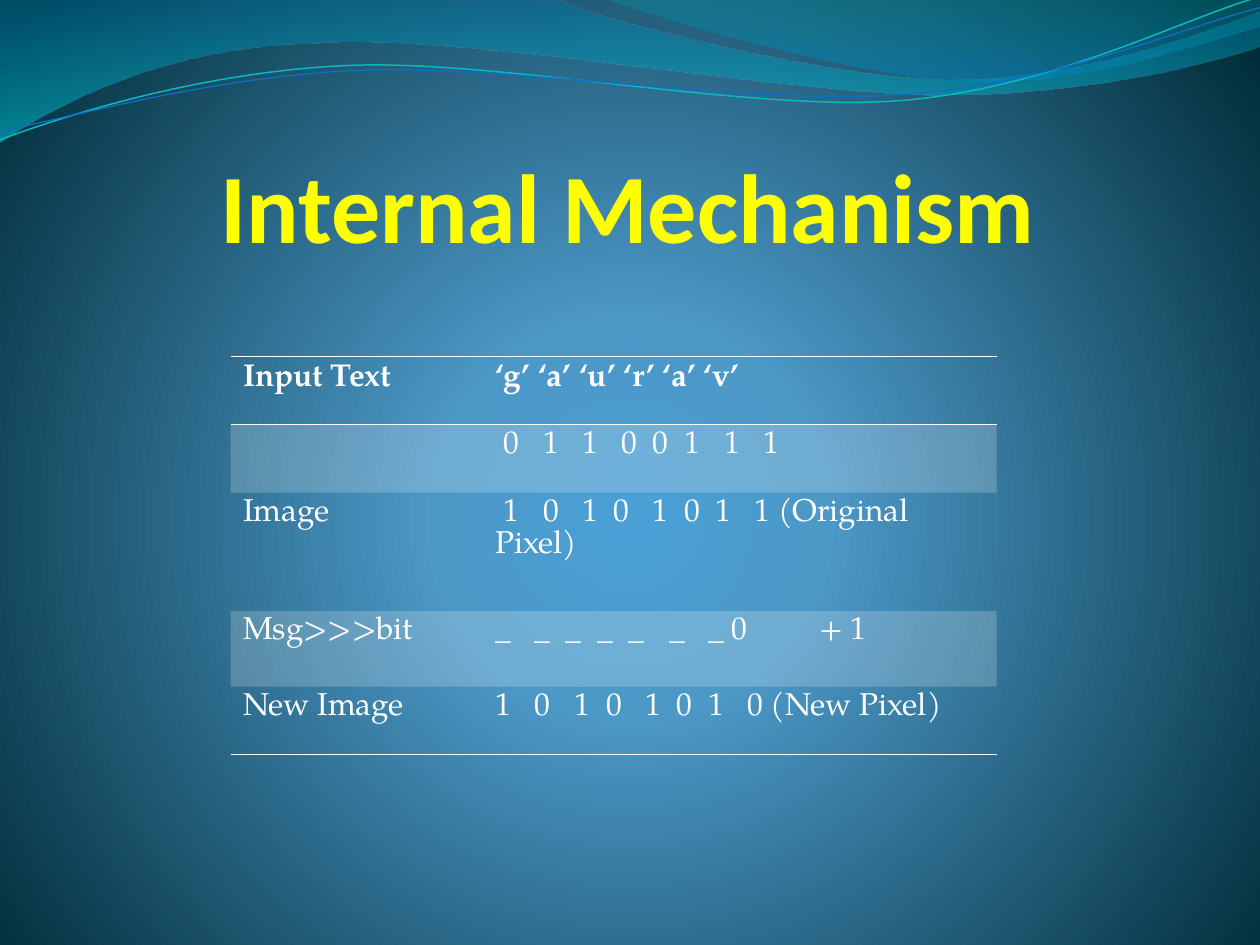
from dataclasses import dataclass

from lxml import etree
from pptx import Presentation
from pptx import util as u
from pptx.dml.color import RGBColor
from pptx.enum import text
from pptx.oxml.ns import qn


@dataclass(frozen=True)
class Theme:
    """Colours, fonts and type sizes of the slide."""
    white: str = "FFFFFF"
    yellow: str = "FFFF00"
    teal: str = "0AB8BF"
    blue: str = "0F6FC6"
    title_font: str = "Calibri"
    body_font: str = "TeX Gyre Pagella"
    title_size: int = 56
    body_size: int = 18
    band_opacity: int = 20
    # Gradient stops: position, colour, opacity (percent)
    backdrop: tuple = ((0, "4AA0D6", 100), (25, "4C98C7", 100), (100, "002C38", 100))
    wide_wave: tuple = ((0, "0074A1", 45), (100, "00C6CF", 55))
    right_wave: tuple = ((0, "00A1A9", 30), (80, "008BBF", 45))


THEME = Theme()
COLUMNS, ROWS = 10, 7.5
UNIT = u.Inches(10) / COLUMNS
NO_STYLE = "{2D5ABB26-0587-4C30-8999-92F81FD0307C}"

# A wave is a list of points (straight) and of six numbers (a curve).
WIDE_WAVE = [(0, 0), (4.4, -0.01), (4.76, 0.17, 6.64, 0.63, 7.58, 0.63),
             (8.53, 0.63, 9.58, 0.26, 10, 0.09), (10.01, 0.36),
             (9.83, 0.44, 8.7, 0.76, 7.46, 0.75), (6.22, 0.75, 3.82, 0.28, 2.57, 0.34),
             (1.29, 0.36, 0.46, 0.83, -0.01, 1.13), (0, 0)]
RIGHT_WAVE = [(4.79, -0.01), (5.09, 0.11, 6.82, 0.62, 7.69, 0.65),
              (8.56, 0.69, 9.61, 0.32, 10, 0.21), (10, 0), (4.79, -0.01)]
TEAL_LINE = [(0, 1.11), (0.48, 0.93, 1.58, 0.57, 2.77, 0.52),
             (3.95, 0.47, 5.93, 0.89, 7.13, 0.8), (8.33, 0.71, 9.38, 0.15, 9.98, -0.02)]
BLUE_LINE = [(0, 1.04), (0.47, 0.96, 1.64, 0.61, 2.83, 0.56),
             (4.03, 0.51, 5.97, 0.84, 7.17, 0.75), (8.36, 0.67, 9.41, 0.21, 10, 0.06)]

# Table rows: height, label, tabbed bits, tab stops of the bits
TABLE_ROWS = [
    (0.54, "Input Text", "‘g’ ‘a’ ‘u’ ‘r’ ‘a’ ‘v’", ()),
    (0.54, "", " 0\t1\t1\t0\t0\t1\t1\t1", (0.38, 0.69, 1, 1.25, 1.5, 1.82, 2.13)),
    (0.94, "Image", " 1\t0\t1\t0\t1\t0\t1\t1 (Original Pixel)",
     (0.38, 0.69, 0.94, 1.25, 1.5, 1.75, 2.06)),
    (0.6, "Msg>>>bit", "_\t_\t_\t_\t_\t_\t_ 0\t+ 1",
     (0.31, 0.56, 0.81, 1.06, 1.38, 1.69, 2.57)),
    (0.54, "New Image", "1\t0\t1\t0\t1\t0\t1\t0 (New Pixel)",
     (0.31, 0.63, 0.88, 1.19, 1.44, 1.69, 2)),
]


def grid(*lengths):
    """Turn grid units into slide lengths."""
    return [u.Emu(round(length * UNIT)) for length in lengths]


def add_node(parent, tag, **attributes):
    """Add an XML child with attributes."""
    return etree.SubElement(parent, qn(tag), {k: str(v) for k, v in attributes.items()})


def add_color(parent, color, opacity=100):
    """Add a colour with its opacity in percent."""
    node = add_node(parent, "a:srgbClr", val=color)
    if opacity < 100:
        add_node(node, "a:alpha", val=opacity * 1000)


def set_gradient(owner, fill, stops, focus=None):
    """Fill with stops, top to bottom or around a focus rectangle."""
    fill.gradient()
    gradient = next(owner.iter(qn("a:gradFill")))
    for child in list(gradient):
        gradient.remove(child)
    stop_list = add_node(gradient, "a:gsLst")
    for position, color, opacity in stops:
        add_color(add_node(stop_list, "a:gs", pos=position * 1000), color, opacity)
    if focus:
        around = add_node(gradient, "a:path", path="circle")
        add_node(around, "a:fillToRect", **{side: share * 1000 for side, share in focus.items()})
    else:
        add_node(gradient, "a:lin", ang=90 * 60000, scaled=1)


def add_outline(slide, segments, closed):
    """Add a freeform and bend its curved segments."""
    points = [grid(*segment[i:i + 2]) for segment in segments
              for i in range(0, len(segment), 2)]
    builder = slide.shapes.build_freeform(*points[0])
    builder.add_line_segments(points[1:], close=closed)
    shape = builder.convert_to_shape()
    shape.shadow.inherit = False
    sides = iter(list(shape._element.iter(qn("a:lnTo"))))
    for segment in segments[1:]:
        side = next(sides)
        if len(segment) == 6:
            curve = etree.Element(qn("a:cubicBezTo"))
            side.addprevious(curve)
            for part in (side, next(sides), next(sides)):
                curve.append(part[0])
                part.getparent().remove(part)
    return shape


def add_wave(slide, segments, stops):
    """Add a translucent wave without a line."""
    shape = add_outline(slide, segments, True)
    set_gradient(shape._element.spPr, shape.fill, stops)
    shape.line.fill.background()


def add_wave_line(slide, segments, color, width):
    """Add a thin curved line."""
    shape = add_outline(slide, segments, False)
    shape.fill.background()
    shape.line.color.rgb = RGBColor.from_string(color)
    shape.line.width = u.Pt(width)


def add_run(paragraph, words, font, size, color, bold=False):
    """Add one formatted run."""
    run = paragraph.add_run()
    run.text = words
    run.font.name, run.font.size, run.font.bold = font, u.Pt(size), bold
    run.font.color.rgb = RGBColor.from_string(color)


def set_title(slide, words):
    """Move the title in front of the waves and fill it."""
    title = slide.shapes.title
    slide.shapes._spTree.append(title._element)
    title.left, title.top, title.width, title.height = grid(1.75, 0.83, 6.59, 1.26)
    frame = title.text_frame
    frame.margin_left = frame.margin_top = frame.margin_right = frame.margin_bottom = 0
    frame.vertical_anchor = text.MSO_ANCHOR.BOTTOM
    frame.auto_size = text.MSO_AUTO_SIZE.NONE
    paragraph = frame.paragraphs[0]
    paragraph.alignment = text.PP_ALIGN.LEFT
    add_run(paragraph, words, THEME.title_font, THEME.title_size, THEME.yellow, True)


def set_cell(cell, words, stops, bold, banded, borders):
    """Write one cell with its tab stops, band and borders."""
    paragraph = cell.text_frame.paragraphs[0]
    paragraph.line_spacing = u.Pt(THEME.body_size)
    if stops:
        tabs = add_node(paragraph._p.get_or_add_pPr(), "a:tabLst")
        for stop in grid(*stops):
            add_node(tabs, "a:tab", pos=stop, algn="l")
    if words:
        add_run(paragraph, words, THEME.body_font, THEME.body_size, THEME.white, bold)
    properties = cell._tc.get_or_add_tcPr()
    for side in borders:
        line = add_node(properties, side, w=u.Pt(1))
        add_color(add_node(line, "a:solidFill"), THEME.white)
    if banded:
        add_color(add_node(properties, "a:solidFill"), THEME.white, THEME.band_opacity)
    else:
        add_node(properties, "a:noFill")


def add_bit_table(slide):
    """Add the table of message and pixel bits."""
    heights = [row[0] for row in TABLE_ROWS]
    frame = slide.shapes.add_table(len(TABLE_ROWS), 2, *grid(1.83, 2.83, 6.08, sum(heights)))
    table = frame.table
    table.first_row = table.horz_banding = False
    next(table._tbl.iter(qn("a:tableStyleId"))).text = NO_STYLE
    for column, width in zip(table.columns, grid(2, 4.08)):
        column.width = width
    for index, (height, label, bits, stops) in enumerate(TABLE_ROWS):
        table.rows[index].height = grid(height)[0]
        header, last = index == 0, index == len(TABLE_ROWS) - 1
        borders = ["a:lnT"] * header + ["a:lnB"] * (header or last)
        for column, (words, tabs) in enumerate(((label, ()), (bits, stops))):
            set_cell(table.cell(index, column), words, tabs, header, index % 2 == 1, borders)


def main():
    """Build the slide and save it."""
    presentation = Presentation()
    presentation.slide_width, presentation.slide_height = grid(COLUMNS, ROWS)
    slide = presentation.slides.add_slide(presentation.slide_layouts[5])
    set_gradient(slide._element, slide.background.fill, THEME.backdrop,
                 {"l": 10, "t": 110, "r": 10, "b": 100})
    add_wave(slide, WIDE_WAVE, THEME.wide_wave)
    add_wave(slide, RIGHT_WAVE, THEME.right_wave)
    add_wave_line(slide, TEAL_LINE, THEME.teal, 0.85)
    add_wave_line(slide, BLUE_LINE, THEME.blue, 0.75)
    set_title(slide, "Internal Mechanism")
    add_bit_table(slide)
    presentation.save("out.pptx")


main()
